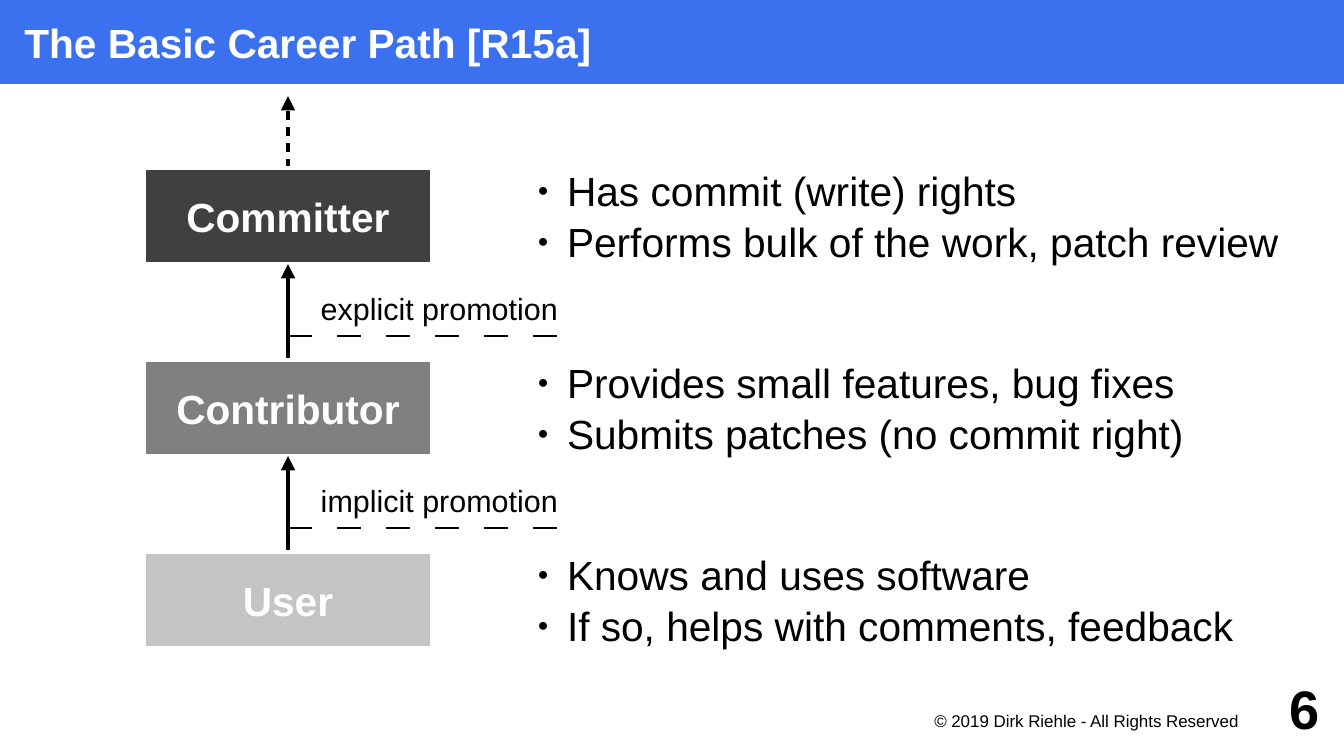
from pptx import Presentation, util as u
from pptx.dml.color import RGBColor
from pptx.enum import shapes, text
from pptx.oxml.ns import qn
from lxml import etree


def rgb(value):
    """Turn a hex string into a colour."""
    return RGBColor.from_string(value)


def sub(parent, tag, **attrs):
    """Append a DrawingML child element."""
    el = etree.SubElement(parent, qn("a:" + tag))
    for name, value in attrs.items():
        el.set(name, str(value))
    return el


def write(tf, lines, size=24, color="000000", bold=False, align="LEFT",
          anchor="MIDDLE", inset=(0, 0, 0, 0), after=0):
    """Fill a text frame with formatted paragraphs."""
    tf.word_wrap = True
    tf.auto_size = text.MSO_AUTO_SIZE.NONE
    tf.vertical_anchor = text.MSO_ANCHOR[anchor]
    tf.margin_left, tf.margin_top, tf.margin_right, tf.margin_bottom = map(u.Inches, inset)
    for i, line in enumerate(lines):
        p = tf.add_paragraph() if i else tf.paragraphs[0]
        p.alignment = text.PP_ALIGN[align]
        p.space_before, p.space_after = u.Pt(0), u.Pt(after)
        r = p.add_run()
        r.text = line
        r.font.name, r.font.size, r.font.bold = "Arial", u.Pt(size), bold
        r.font.color.rgb = rgb(color)


class Deck:
    """Holds the half-centimetre grid, the style and the current slide."""

    unit = u.Cm(0.5)
    cols, rows = 56, 31.5

    def __init__(self):
        """Open a presentation with one slide."""
        self.prs = Presentation()
        self.prs.slide_width, self.prs.slide_height = self.grid(self.cols, self.rows)
        self.s = self.prs.slides.add_slide(self.prs.slide_layouts.get_by_name("Comparison"))
        self.bodies = list(self.s.placeholders)[1:]

    def grid(self, *cells):
        """Convert columns and rows to lengths."""
        return [int(c * self.unit) for c in cells]

    def place(self, sp, *cells):
        """Move a shape onto the grid."""
        sp.left, sp.top, sp.width, sp.height = self.grid(*cells)

    def title(self, line, height):
        """Set the title as a full-width banner."""
        sp = self.s.shapes.title
        self.place(sp, 0, 0, self.cols, height)
        sp.fill.solid()
        sp.fill.fore_color.rgb = rgb("3B70EE")
        write(sp.text_frame, [line], color="FFFFFF", bold=True, inset=(0.2, 0, 0, 0))

    def bullets(self, lines, *cells):
        """Put a bulleted list into the next body placeholder."""
        sp = self.bodies.pop(0)
        self.place(sp, *cells)
        write(sp.text_frame, lines, inset=(0.08,) * 4, after=1.4)
        for p in sp.text_frame.paragraphs:
            pPr = p._p.get_or_add_pPr()
            indent = u.Inches(0.24)
            pPr.set("marL", str(indent))
            pPr.set("indent", str(-indent))
            sub(sub(pPr, "buClr"), "srgbClr", val="000000")
            sub(pPr, "buSzPct", val=45000)
            sub(pPr, "buFont", typeface="Arial")
            sub(pPr, "buChar", char="●")

    def box(self, line, fill, *cells):
        """Add a filled box with a bold caption."""
        sp = self.s.shapes.add_shape(shapes.MSO_SHAPE.RECTANGLE, *self.grid(*cells))
        sp.shadow.inherit = False
        sp.fill.solid()
        sp.fill.fore_color.rgb = rgb(fill)
        sp.line.color.rgb, sp.line.width = rgb("FFFFFF"), u.Pt(2.83)
        write(sp.text_frame, [line], color="FFFFFF", bold=True, align="CENTER", inset=(0.1,) * 4)
        return sp

    def label(self, line, *cells, **style):
        """Add a plain text box."""
        sp = self.s.shapes.add_textbox(*self.grid(*cells))
        write(sp.text_frame, [line], **style)

    def line(self, *cells, width=2.83, dash=None, head=False):
        """Add a straight line; dash is a pair of percentages of its width."""
        cx = self.s.shapes.add_connector(shapes.MSO_CONNECTOR.STRAIGHT, *self.grid(*cells))
        cx.line.color.rgb, cx.line.width = rgb("000000"), u.Pt(width)
        ln = cx.line._get_or_add_ln()
        if dash:
            on, off = dash
            sub(sub(ln, "custDash"), "ds", d=on * 1000, sp=off * 1000)
        if head:
            sub(ln, "tailEnd", type="triangle")
        sub(cx._element.spPr, "effectLst")
        return cx

    def finish(self):
        """Remove unused placeholders and save."""
        for sp in self.bodies:
            sp._element.getparent().remove(sp._element)
        self.prs.save("out.pptx")


STAGES = [
    ("Committer", "404040", None,
     ["Has commit (write) rights", "Performs bulk of the work, patch review"]),
    ("Contributor", "808080", "explicit promotion",
     ["Provides small features, bug fixes", "Submits patches (no commit right)"]),
    ("User", "C4C4C4", "implicit promotion",
     ["Knows and uses software", "If so, helps with comments, feedback"]),
]


def main():
    """Build the career path slide."""
    deck = Deck()
    deck.title("The Basic Career Path [R15a]", 3.5)
    left, top, width, height, step = 6, 7, 12, 4, 8
    middle = left + width / 2
    upper = None
    for i, (role, fill, promotion, duties) in enumerate(STAGES):
        row = top + i * step
        deck.bullets(duties, 22, row - 1, 32, 6)
        if upper:
            arrow = deck.line(middle, row, middle, row - height, head=True)
            arrow.end_connect(upper, 2)
            deck.line(middle, row - 1, middle + width, row - 1, width=1.45, dash=(1000, 1000))
            deck.label(promotion, middle, row - height, width, 3, size=18, align="CENTER",
                       anchor="BOTTOM", inset=(0.2, 0.08, 0.08, 0.08))
        else:
            arrow = deck.line(middle, row, middle, row - 3, dash=(190, 140), head=True)
        upper = deck.box(role, fill, left, row, width, height)
        arrow.begin_connect(upper, 0)
    deck.label("© 2019 Dirk Riehle - All Rights Reserved", 36, 29.5, 16, 1.5, size=10,
               align="RIGHT", anchor="TOP", inset=(0, 0.02, 0.08, 0))
    deck.label("6", 51, 28, 4, 3, size=32, bold=True, align="RIGHT")
    deck.finish()


if __name__ == "__main__":
    main()
